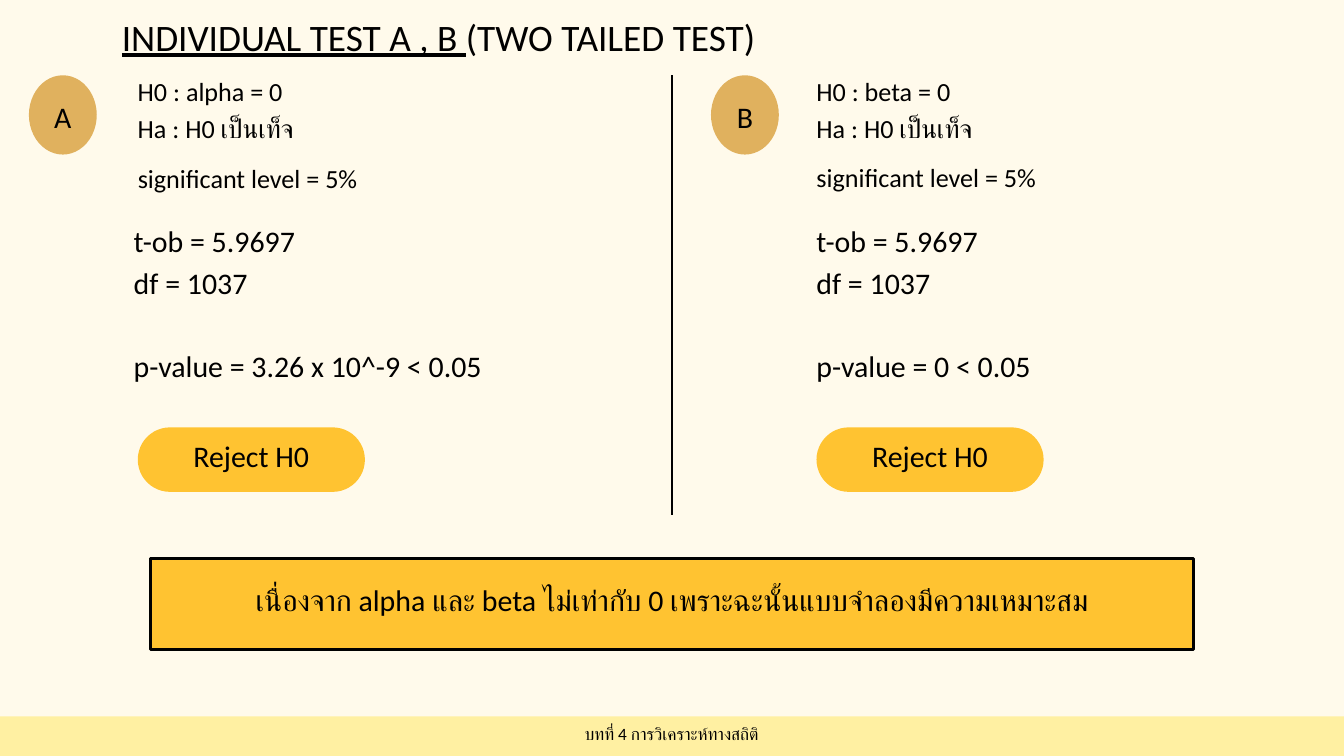
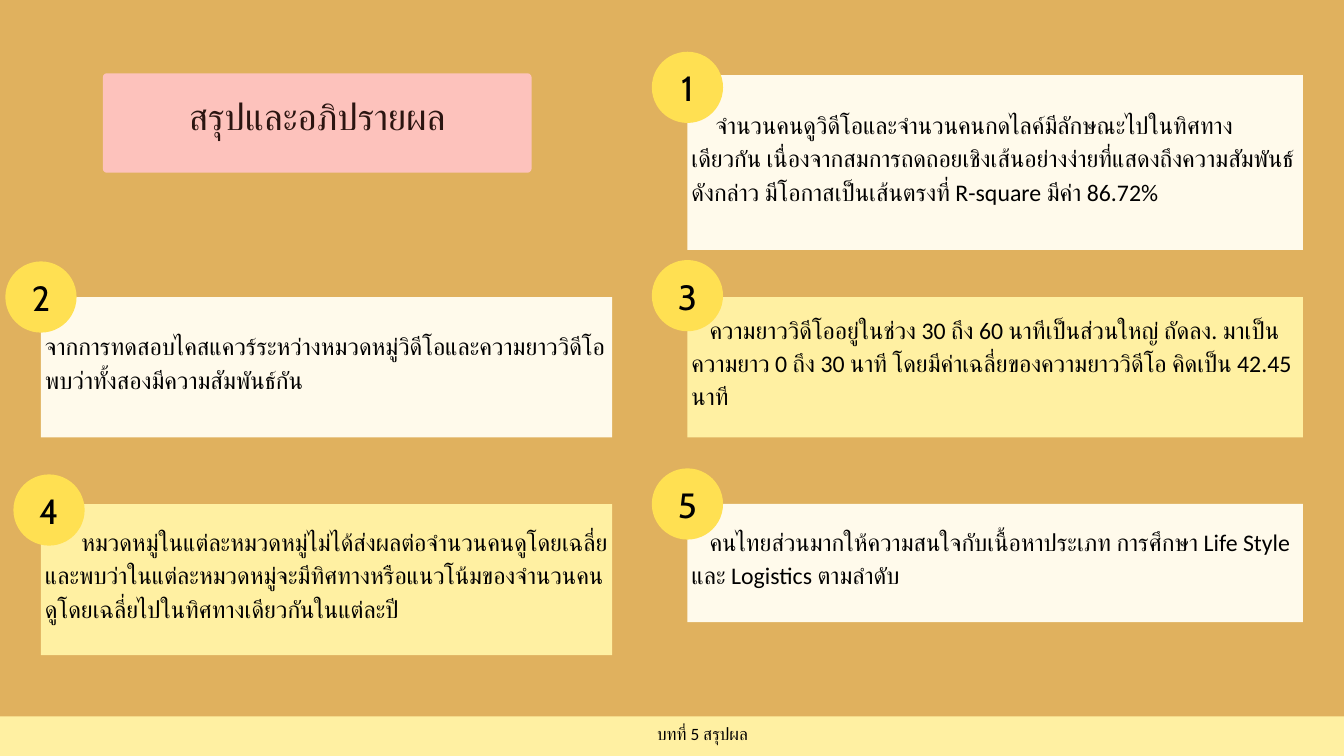
from lxml.etree import SubElement
from pptx import Presentation
from pptx.dml.color import RGBColor
from pptx.enum.shapes import MSO_CONNECTOR, MSO_SHAPE
from pptx.enum.text import MSO_ANCHOR, PP_ALIGN as ALIGN
from pptx.oxml.ns import qn
from pptx.util import Inches, Pt

COLORS = {
    "cream": "FFFAEB", "sand": "E0B15E", "pale": "FFF0A2", "amber": "FFC331",
    "yellow": "FFE052", "pink": "FDC2BC", "brown": "2B1511", "black": "000000",
}
LINE_FACTOR = 1.4
INSET = 0.06


def style_text(frame, size, align=ALIGN.LEFT, color="black", font="Calibri"):
    """Format every run for Latin and Thai, with line spacing tied to the size."""
    frame.word_wrap = True
    for paragraph in frame.paragraphs:
        paragraph.alignment = align
        paragraph.line_spacing = Pt(round(size * LINE_FACTOR, 1))
        for run in paragraph.runs:
            run.font.size = Pt(size)
            run.font.color.rgb = RGBColor.from_string(COLORS[color])
            run.font.name = font
            for script in ("a:ea", "a:cs"):
                SubElement(run.font._element, qn(script), typeface=font)


def add_block(slide, kind, box, fill, text, size, lift=0.2, inset=INSET, **style):
    """Add a filled shape whose centred text sits half of lift above the middle."""
    shape = slide.shapes.add_shape(kind, *map(Inches, box))
    shape.shadow.inherit = False
    shape.fill.solid()
    shape.fill.fore_color.rgb = RGBColor.from_string(COLORS[fill])
    shape.line.fill.background()
    frame = shape.text_frame
    frame.text = text
    frame.vertical_anchor = MSO_ANCHOR.MIDDLE
    frame.margin_left = frame.margin_right = frame.margin_top = Inches(inset)
    frame.margin_bottom = Inches(inset + lift)
    style_text(frame, size, **style)
    return shape


presentation = Presentation()
presentation.slide_width = Inches(20)
presentation.slide_height = Inches(11.25)

# Shared background and footer band
slides = []
for background, band_left, footer in [
    ("cream", -2.7, "บทที่ 4 การวิเคราะห์ทางสถิติ"),
    ("sand", -2.24, "บทที่ 5 สรุปผล"),
]:
    slide = presentation.slides.add_slide(presentation.slide_layouts[6])
    slide.background.fill.solid()
    slide.background.fill.fore_color.rgb = RGBColor.from_string(COLORS[background])
    add_block(slide, MSO_SHAPE.RECTANGLE, (band_left, 10.66, 25.39, 0.59), "pale",
              footer, 18.5, lift=0.12, align=ALIGN.CENTER)
    slides.append(slide)
tests_slide, summary_slide = slides

# Slide 1: individual tests
divider = tests_slide.shapes.add_connector(
    MSO_CONNECTOR.STRAIGHT, Inches(10), Inches(1.12), Inches(10), Inches(7.66))
divider.line.width = Pt(3)
divider.line.color.rgb = RGBColor.from_string(COLORS["black"])
SubElement(divider._element.spPr, qn("a:effectLst"))

conclusion = add_block(
    tests_slide, MSO_SHAPE.RECTANGLE, (2.24, 8.31, 15.52, 1.35), "amber",
    "เนื่องจาก alpha และ beta ไม่เท่ากับ 0 เพราะฉะนั้นแบบจำลองมีความเหมาะสม",
    32, align=ALIGN.CENTER)
conclusion.line.width = Pt(3)
conclusion.line.color.rgb = RGBColor.from_string(COLORS["black"])

text_boxes = [((0, 0.1, 13.05, 0.74), "INDIVIDUAL TEST A , B ", 40)]
for letter, parameter, p_value, circle_left, left, result_left, level_top in [
    ("A", "alpha", "3.26 x 10^-9", 0.43, 2.05, 1.99, 2.34),
    ("B", "beta", "0", 10.58, 12.15, 12.15, 2.32),
]:
    add_block(tests_slide, MSO_SHAPE.OVAL, (circle_left, 1.12, 1.01, 1.18), "sand",
              letter, 32, lift=0.04, inset=0, align=ALIGN.CENTER)
    verdict = add_block(tests_slide, MSO_SHAPE.ROUNDED_RECTANGLE, (left, 6.36, 3.38, 0.96),
                        "amber", "Reject H0", 32, inset=0, align=ALIGN.CENTER)
    verdict.adjustments[0] = 0.5
    text_boxes += [
        ((left, 1.05, 2.77, 1.08), f"H0 : {parameter} = 0\nHa : H0 เป็นเท็จ", 28),
        ((left, level_top, 4.08, 0.54), "significant level = 5%", 28),
        ((result_left, 3.22, 6.2, 2.42),
         f"t-ob = 5.9697\ndf = 1037\np-value = {p_value} < 0.05", 32),
    ]

for box, text, size in text_boxes:
    frame = tests_slide.shapes.add_textbox(*map(Inches, box)).text_frame
    frame.margin_left = frame.margin_right = frame.margin_top = frame.margin_bottom = 0
    frame.text = text
    is_title = size == 40
    if is_title:
        frame.paragraphs[0].add_run().text = "(TWO TAILED TEST)"
    style_text(frame, size, ALIGN.CENTER if is_title else ALIGN.LEFT)
    if is_title:
        frame.paragraphs[0].runs[0].font.underline = True
    if len(frame.paragraphs) == 3:
        frame.paragraphs[2].space_before = Pt(size * LINE_FACTOR)

# Slide 2: numbered conclusions
LEFT_COLUMN, RIGHT_COLUMN = (0.61, 8.5), (10.23, 9.16)
BADGE = 1.06
cards = [
    (RIGHT_COLUMN, 1.12, 2.6, "cream", 0.36, (9.7, 0.77),
     "จำนวนคนดูวิดีโอและจำนวนคนกดไลค์มีลักษณะไปในทิศทางเดียวกัน "
     "เนื่องจากสมการถดถอยเชิงเส้นอย่างง่ายที่แสดงถึงความสัมพันธ์ดังกล่าว "
     "มีโอกาสเป็นเส้นตรงที่ R-square มีค่า 86.72%"),
    (LEFT_COLUMN, 4.42, 2.09, "cream", 0, (0.08, 3.89),
     "จากการทดสอบไคสแควร์ระหว่างหมวดหมู่วิดีโอและความยาววิดีโอ "
     "พบว่าทั้งสองมีความสัมพันธ์กัน"),
    (RIGHT_COLUMN, 4.42, 2.09, "pale", 0.27, (9.7, 3.87),
     "ความยาววิดีโออยู่ในช่วง 30 ถึง 60 นาทีเป็นส่วนใหญ่ ถัดลง. "
     "มาเป็นความยาว 0 ถึง 30 นาที โดยมีค่าเฉลี่ยของความยาววิดีโอ คิดเป็น 42.45 นาที"),
    (LEFT_COLUMN, 7.5, 2.25, "pale", 0.54, (0.2, 7.06),
     "หมวดหมู่ในแต่ละหมวดหมู่ไม่ได้ส่งผลต่อจำนวนคนดูโดยเฉลี่ย "
     "และพบว่าในแต่ละหมวดหมู่จะมีทิศทางหรือแนวโน้มของจำนวนคนดูโดยเฉลี่ย"
     "ไปในทิศทางเดียวกันในแต่ละปี"),
    (RIGHT_COLUMN, 7.5, 1.76, "cream", 0.27, (9.7, 6.97),
     "คนไทยส่วนมากให้ความสนใจกับเนื้อหาประเภท การศึกษา Life Style "
     "และ Logistics ตามลำดับ"),
]
for (left, width), top, height, fill, indent, badge_corner, text in cards:
    card = add_block(summary_slide, MSO_SHAPE.RECTANGLE, (left, top, width, height),
                     fill, text, 25.5)
    properties = card.text_frame.paragraphs[0]._p.get_or_add_pPr()
    properties.set("indent", str(Inches(indent)))

heading = add_block(summary_slide, MSO_SHAPE.ROUNDED_RECTANGLE, (1.53, 1.09, 6.38, 1.48),
                    "pink", "สรุปและอภิปรายผล", 39.5, lift=0.31,
                    align=ALIGN.CENTER, color="brown")
heading.adjustments[0] = 0.04

for number, card in enumerate(cards, start=1):
    badge_corner = card[5]
    add_block(summary_slide, MSO_SHAPE.OVAL, (*badge_corner, BADGE, BADGE), "yellow",
              str(number), 37.5, lift=0.09, inset=0, align=ALIGN.CENTER, font="Cabin")

presentation.save("out.pptx")
